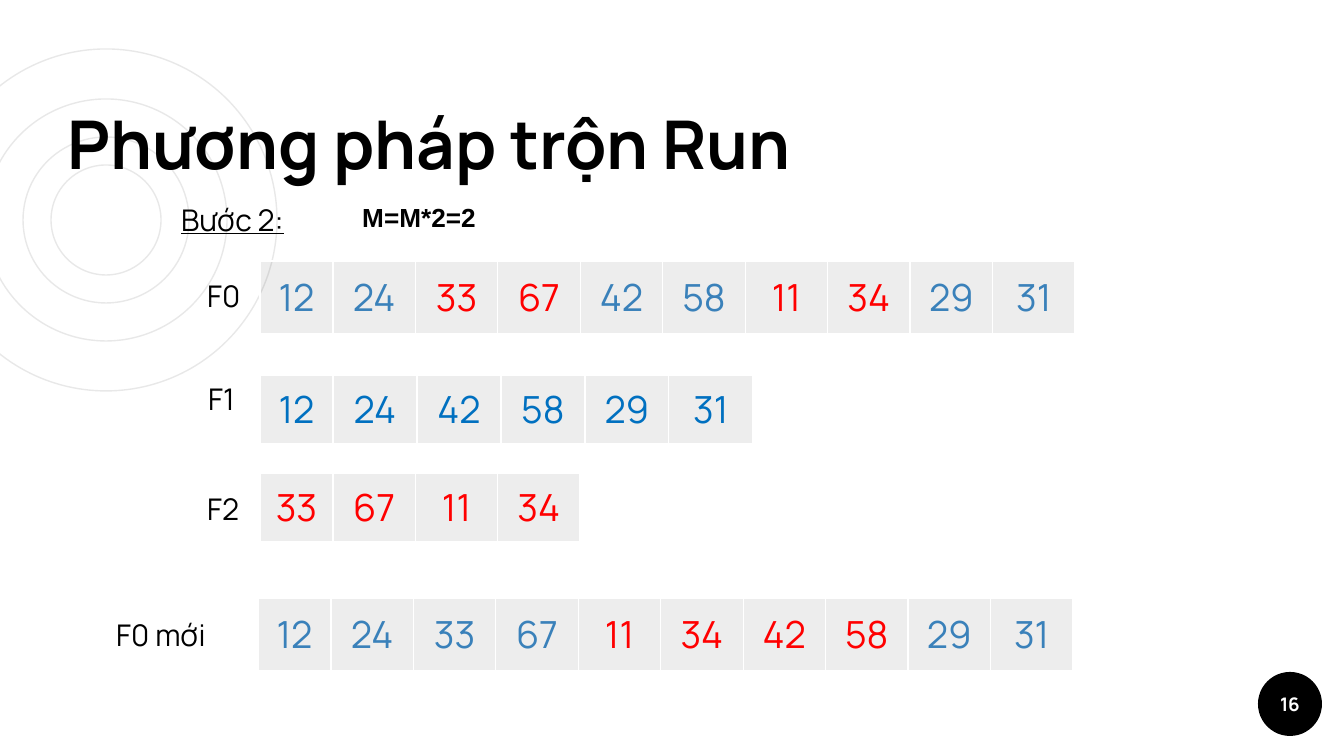
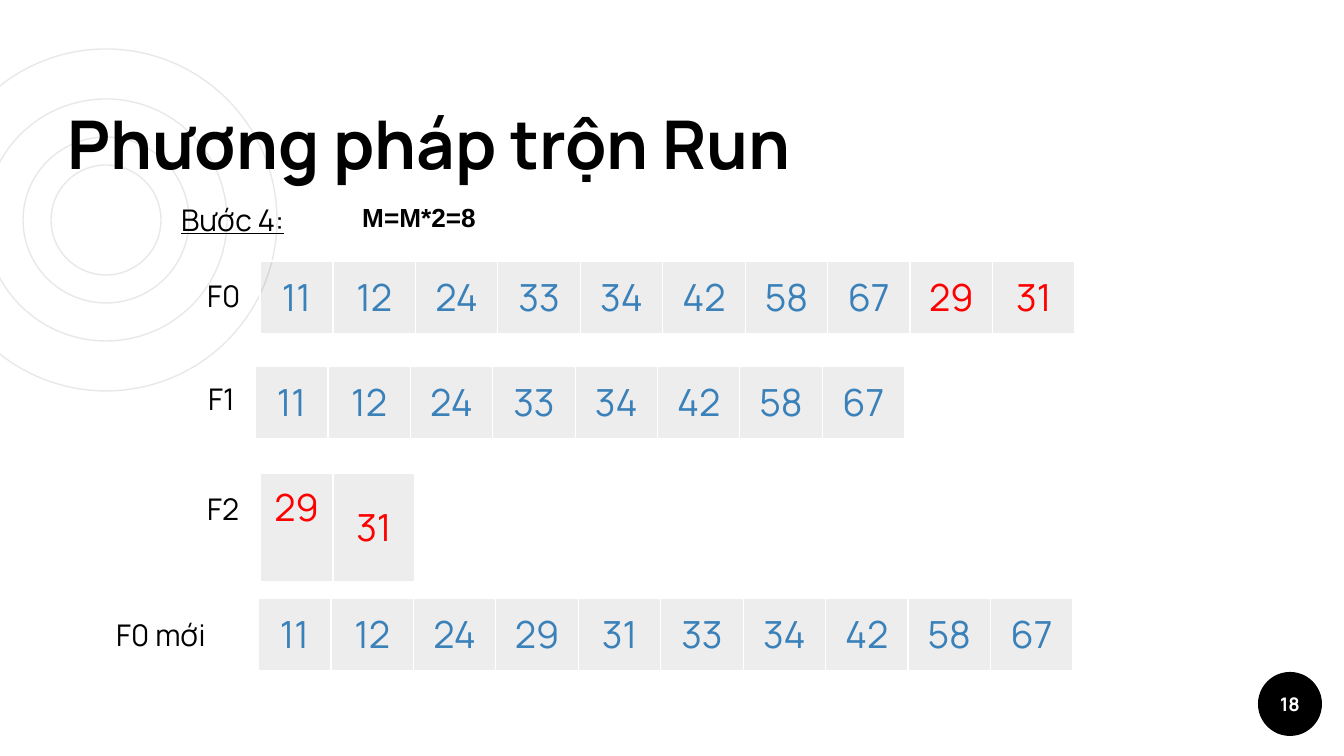
from lxml import etree
from pptx import Presentation
from pptx.dml.color import RGBColor
from pptx.enum.shapes import MSO_SHAPE
from pptx.enum.text import MSO_ANCHOR, MSO_AUTO_SIZE, PP_ALIGN
from pptx.oxml.ns import qn
from pptx.util import Pt

OVAL = MSO_SHAPE.OVAL
TOP, MIDDLE, BOTTOM = MSO_ANCHOR.TOP, MSO_ANCHOR.MIDDLE, MSO_ANCHOR.BOTTOM
LEFT, CENTER = PP_ALIGN.LEFT, PP_ALIGN.CENTER
GROW, FIXED = MSO_AUTO_SIZE.SHAPE_TO_FIT_TEXT, MSO_AUTO_SIZE.NONE

EMU_PER_PX = 914400 / 134.4
BLACK, WHITE, RING_GREY = "000000", "FFFFFF", "E8E8E8"
BLUE, DEEP_BLUE, RED = "3A81BA", "0070C0", "FF0000"
MAIN_FONT = "Manrope"
CELL_ALPHA = 7000
FIRST_COLUMN = 73

TITLE = "Phương pháp trộn Run"
TITLE_FORMAT = {"name": MAIN_FONT, "size": Pt(36), "bold": True}
LABEL_FORMAT = {"name": MAIN_FONT, "size": Pt(16)}
STEP_FORMAT = {**LABEL_FORMAT, "underline": True}
FORMULA_FORMAT = {"name": "Arial", "size": Pt(14), "bold": True}
NUMBER_FORMAT = {"name": MAIN_FONT, "size": Pt(20)}
BADGE_FORMAT = {"name": MAIN_FONT, "size": Pt(10), "bold": True}

RING_BOX = (-65, 49, 342, 342)
RING_DIAMETERS = (342, 166, 242, 110)
TITLE_BOX = (55, 95, 767, 101)
STEP_BOX = (168, 195, 141, 50)
FORMULA_BOX = (349, 195, 141, 77)
BADGE_BOX = (1258, 672, 64, 64)
FILE_LABELS = {
    "F0": (194, 271, 129, 50),
    "F1": (195, 374, 129, 50),
    "F2": (194, 484, 129, 50),
    "F0 mới": (103, 610, 129, 50),
}
F0_BOX = (260, 261, 815, 73)
NEW_F0_BOX = (258, 598, 815, 73)

STEPS = [
    {
        "step": "Bước 2:", "formula": "M=M*2=2", "number": "16",
        "files": [
            (F0_BOX, [(BLUE, "12 24"), (RED, "33 67"), (BLUE, "42 58"),
                      (RED, "11 34"), (BLUE, "29 31")]),
            ((260, 375, 493, 69), [(DEEP_BLUE, "12 24 42 58 29 31")]),
            ((260, 473, 320, 69), [(RED, "33 67 11 34")]),
            (NEW_F0_BOX, [(BLUE, "12 24 33 67"), (RED, "11 34 42 58"),
                          (BLUE, "29 31")]),
        ],
        "raised": (),
    },
    {
        "step": "Bước 4:", "formula": "M=M*2=8", "number": "18",
        "files": [
            (F0_BOX, [(BLUE, "11 12 24 33 34 42 58 67"), (RED, "29 31")]),
            ((255, 366, 650, 73), [(BLUE, "11 12 24 33 34 42 58 67")]),
            ((260, 473, 155, 109), [(RED, "29 31")]),
            (NEW_F0_BOX, [(BLUE, "11 12 24 29 31 33 34 42 58 67")]),
        ],
        "raised": ((2, 0),),
    },
]


def px(length):
    """Turn pixels into EMU."""
    return round(length * EMU_PER_PX)


def emu_box(box):
    """Turn a pixel box into EMU values."""
    return [px(length) for length in box]


def color(value):
    """Make a colour from a hex string."""
    return RGBColor.from_string(value)


def set_all(target, values):
    """Set every attribute named in the dict."""
    for name, value in values.items():
        setattr(target, name, value)


def write_text(frame, text, font_format, font_color=BLACK, alignment=LEFT):
    """Write one formatted paragraph into a text frame."""
    paragraph = frame.paragraphs[0]
    paragraph.alignment = alignment
    run = paragraph.add_run()
    run.text = text
    set_all(run.font, font_format)
    run.font.color.rgb = color(font_color)


def margins(horizontal, vertical):
    """Give the four margins as a format dict."""
    return {"margin_left": px(horizontal), "margin_right": px(horizontal),
            "margin_top": px(vertical), "margin_bottom": px(vertical)}


def add_text(slide, box, text, font_format, **frame_format):
    """Add a text box that grows with its text."""
    frame = slide.shapes.add_textbox(*emu_box(box)).text_frame
    set_all(frame, {"word_wrap": True, "auto_size": GROW, **frame_format})
    write_text(frame, text, font_format)


def add_rings(slide, box):
    """Draw the concentric rings around the centre of the box."""
    left, top, width, height = box
    for diameter in RING_DIAMETERS:
        ring_box = (left + (width - diameter) / 2,
                    top + (height - diameter) / 2, diameter, diameter)
        ring = slide.shapes.add_shape(OVAL, *emu_box(ring_box))
        ring.shadow.inherit = False
        ring.fill.background()
        ring.line.color.rgb = color(RING_GREY)
        ring.line.width = Pt(0.75)


def add_badge(slide, box, number):
    """Draw the round slide number badge."""
    badge = slide.shapes.add_shape(OVAL, *emu_box(box))
    badge.shadow.inherit = False
    badge.fill.solid()
    badge.fill.fore_color.rgb = color(BLACK)
    badge.line.fill.background()
    set_all(badge.text_frame, {"vertical_anchor": MIDDLE, "word_wrap": False,
                               **margins(0, 0)})
    write_text(badge.text_frame, number, BADGE_FORMAT, WHITE, CENTER)


def style_cell(cell):
    """Give a cell its translucent fill and white borders."""
    cell.fill.solid()
    cell.fill.fore_color.rgb = color(BLACK)
    properties = cell._tc.get_or_add_tcPr()
    fill_color = properties.find(f"{qn('a:solidFill')}/{qn('a:srgbClr')}")
    etree.SubElement(fill_color, qn("a:alpha"), val=str(CELL_ALPHA))
    for index, side in enumerate(("lnL", "lnR", "lnT", "lnB")):
        border = etree.Element(qn(f"a:{side}"), w=str(Pt(0.75)))
        fill = etree.SubElement(border, qn("a:solidFill"))
        etree.SubElement(fill, qn("a:srgbClr"), val=WHITE)
        properties.insert(index, border)


def add_file_table(slide, box, runs, raised):
    """Draw one file as a row of numbers coloured by run."""
    numbers = [(number, run_color) for run_color, values in runs
               for number in values.split()]
    table = slide.shapes.add_table(1, len(numbers), *emu_box(box)).table
    set_all(table, {"first_row": False, "horz_banding": False})
    other_column = (box[2] - FIRST_COLUMN) / (len(numbers) - 1)
    for index, (number, run_color) in enumerate(numbers):
        table.columns[index].width = px(other_column if index else FIRST_COLUMN)
        cell = table.cell(0, index)
        anchor = TOP if index in raised else MIDDLE
        set_all(cell, {"vertical_anchor": anchor, **margins(13, 9)})
        write_text(cell.text_frame, number, NUMBER_FORMAT, run_color, CENTER)
        style_cell(cell)


def add_step_slide(presentation, content):
    """Build the slide of one merge step."""
    slide = presentation.slides.add_slide(presentation.slide_layouts[6])
    add_rings(slide, RING_BOX)
    add_text(slide, TITLE_BOX, TITLE, TITLE_FORMAT, auto_size=FIXED,
             vertical_anchor=BOTTOM, **margins(13, 13))
    add_badge(slide, BADGE_BOX, content["number"])
    add_text(slide, STEP_BOX, content["step"], STEP_FORMAT)
    add_text(slide, FORMULA_BOX, content["formula"], FORMULA_FORMAT,
             word_wrap=False)
    for label, box in FILE_LABELS.items():
        add_text(slide, box, label, LABEL_FORMAT)
    for row, (box, runs) in enumerate(content["files"]):
        raised = [column for file, column in content["raised"] if file == row]
        add_file_table(slide, box, runs, raised)


def main():
    """Build and save the presentation."""
    presentation = Presentation()
    presentation.slide_width = px(1344)
    presentation.slide_height = px(756)
    for content in STEPS:
        add_step_slide(presentation, content)
    presentation.save("out.pptx")


if __name__ == "__main__":
    main()
